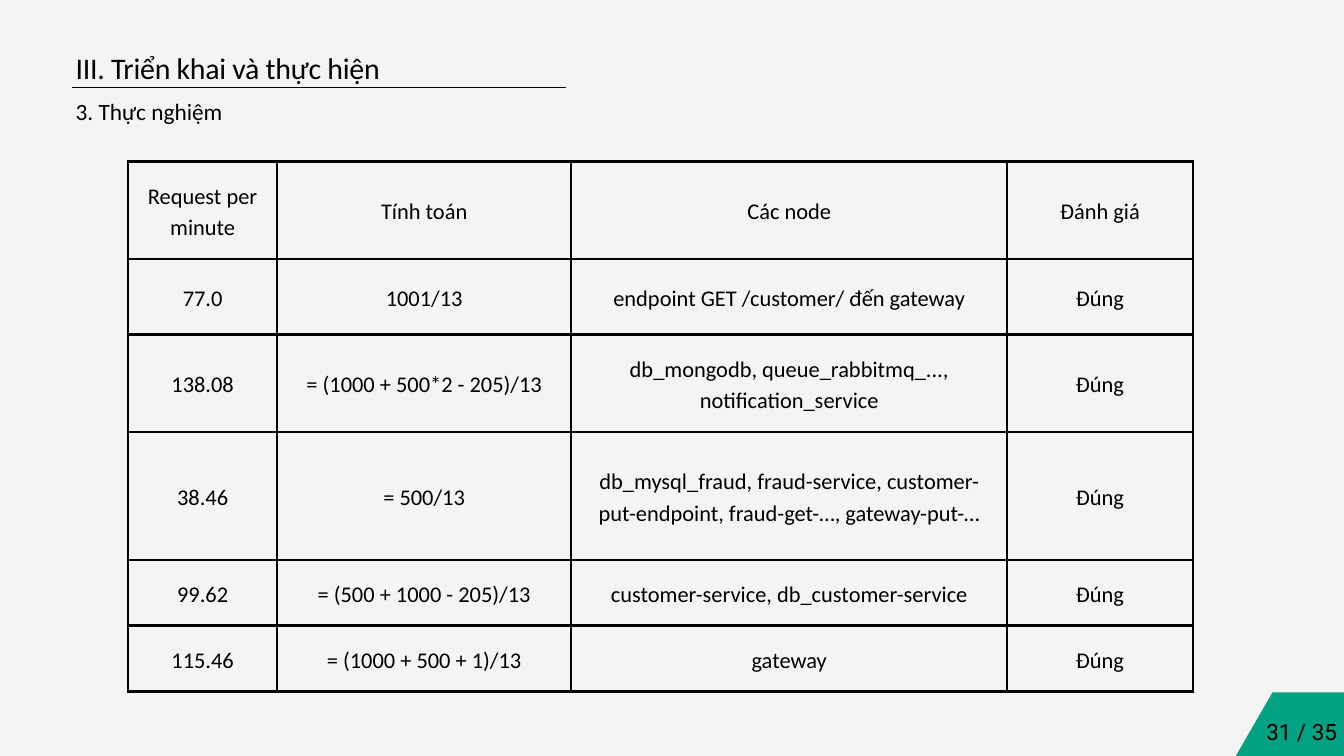
from lxml.etree import SubElement
from pptx import Presentation
from pptx.dml.color import RGBColor
from pptx.enum.shapes import MSO_CONNECTOR
from pptx.enum.text import MSO_ANCHOR, PP_ALIGN
from pptx.oxml.ns import qn
from pptx.util import Pt

PX = 9525  # EMU per px, 96 px to the inch
COLORS = {"bg": "F4F4F4", "ink": "000000", "accent": "00A181"}

COL_WIDTHS = [213, 420, 623, 265]
ROW_HEIGHTS = [139, 108, 139, 183, 94, 94]
HEADER = ["Request per minute", "Tính toán", "Các node", "Đánh giá"]
RESULTS = [
    ["77.0", "1001/13", "endpoint GET /customer/ đến gateway"],
    ["138.08", "= (1000 + 500*2 - 205)/13",
     "db_mongodb, queue_rabbitmq_..., notification_service"],
    ["38.46", "= 500/13",
     "db_mysql_fraud, fraud-service, customer-put-endpoint, "
     "fraud-get-…, gateway-put-…"],
    ["99.62", "= (500 + 1000 - 205)/13", "customer-service, db_customer-service"],
    ["115.46", "= (1000 + 500 + 1)/13", "gateway"],
]
HEXAGON = [(2045, 1119), (1970, 1250), (1818, 1250),
           (1743, 1119), (1818, 989), (1970, 989)]


def rgb(name):
    return RGBColor.from_string(COLORS[name])


class SlideBuilder:
    def __init__(self, slide, font="Calibri"):
        self.s = slide
        self.font = font
        fill = slide.background.fill
        fill.solid()
        fill.fore_color.rgb = rgb("bg")

    def fill_text(self, tf, text, size, leading, align=PP_ALIGN.LEFT, font=None):
        tf.word_wrap = True
        p = tf.paragraphs[0]
        for name, value in {"alignment": align, "line_spacing": Pt(leading)}.items():
            setattr(p, name, value)
        r = p.add_run()
        r.text = text
        for name, value in {"name": font or self.font, "size": Pt(size)}.items():
            setattr(r.font, name, value)
        r.font.color.rgb = rgb("ink")
        return r

    def text(self, box, text, size, leading, spacing=None, **style):
        tf = self.s.shapes.add_textbox(*(v * PX for v in box)).text_frame
        for side in ("left", "top", "right", "bottom"):
            setattr(tf, f"margin_{side}", 0)
        r = self.fill_text(tf, text, size, leading, **style)
        if spacing is not None:
            r.font._element.set("spc", str(spacing))

    def line(self, x1, y1, x2, y2, width):
        sp = self.s.shapes.add_connector(
            MSO_CONNECTOR.STRAIGHT, *(v * PX for v in (x1, y1, x2, y2)))
        sp.line.width = Pt(width)
        sp.line.color.rgb = rgb("ink")
        SubElement(sp._element.spPr, qn("a:effectLst"))

    def polygon(self, points, color):
        fb = self.s.shapes.build_freeform(*points[0], scale=PX)
        fb.add_line_segments(points[1:], close=True)
        sp = fb.convert_to_shape()
        sp.shadow.inherit = False
        sp.fill.solid()
        sp.fill.fore_color.rgb = rgb(color)
        sp.line.fill.background()

    def border(self, cell, width):
        tcPr = cell._tc.get_or_add_tcPr()
        for side in ("lnL", "lnR", "lnT", "lnB"):
            ln = SubElement(tcPr, qn(f"a:{side}"), w=str(Pt(width)))
            fill = SubElement(ln, qn("a:solidFill"))
            SubElement(fill, qn("a:srgbClr"), val=COLORS["ink"])

    def table(self, x, y, widths, heights, rows):
        size = sum(widths), sum(heights)
        table = self.s.shapes.add_table(
            len(heights), len(widths), *(v * PX for v in (x, y, *size))).table
        table.first_row = table.horz_banding = False
        for col, width in zip(table.columns, widths):
            col.width = width * PX
        for row, height, texts in zip(table.rows, heights, rows):
            row.height = height * PX
            for cell, text in zip(row.cells, texts):
                for side in ("left", "top", "right", "bottom"):
                    setattr(cell, f"margin_{side}", 20 * PX)
                cell.vertical_anchor = MSO_ANCHOR.MIDDLE
                self.border(cell, 3)
                cell.fill.background()
                self.fill_text(cell.text_frame, text, 24, 33.6, PP_ALIGN.CENTER)


def main():
    prs = Presentation()
    prs.slide_width, prs.slide_height = 1920 * PX, 1080 * PX
    s = SlideBuilder(prs.slides.add_slide(prs.slide_layouts[6]))

    # Results table: every check came out right
    s.table(183, 231, COL_WIDTHS, ROW_HEIGHTS,
            [HEADER] + [row + ["Đúng"] for row in RESULTS])

    # Page number on the corner hexagon
    s.polygon(HEXAGON, "accent")
    s.text((1783, 1019, 153, 43), "31 / 35", 24, 33.6,
           align=PP_ALIGN.CENTER, font="Roboto")

    # Headings and rule
    s.text((108, 132, 329, 44), "3. Thực nghiệm", 25, 35)
    s.text((108, 71, 1226, 50), "III. Triển khai và thực hiện", 32, 38.4, spacing=-30)
    s.line(103, 125, 809, 125, 0.75)

    prs.save("out.pptx")


if __name__ == "__main__":
    main()
